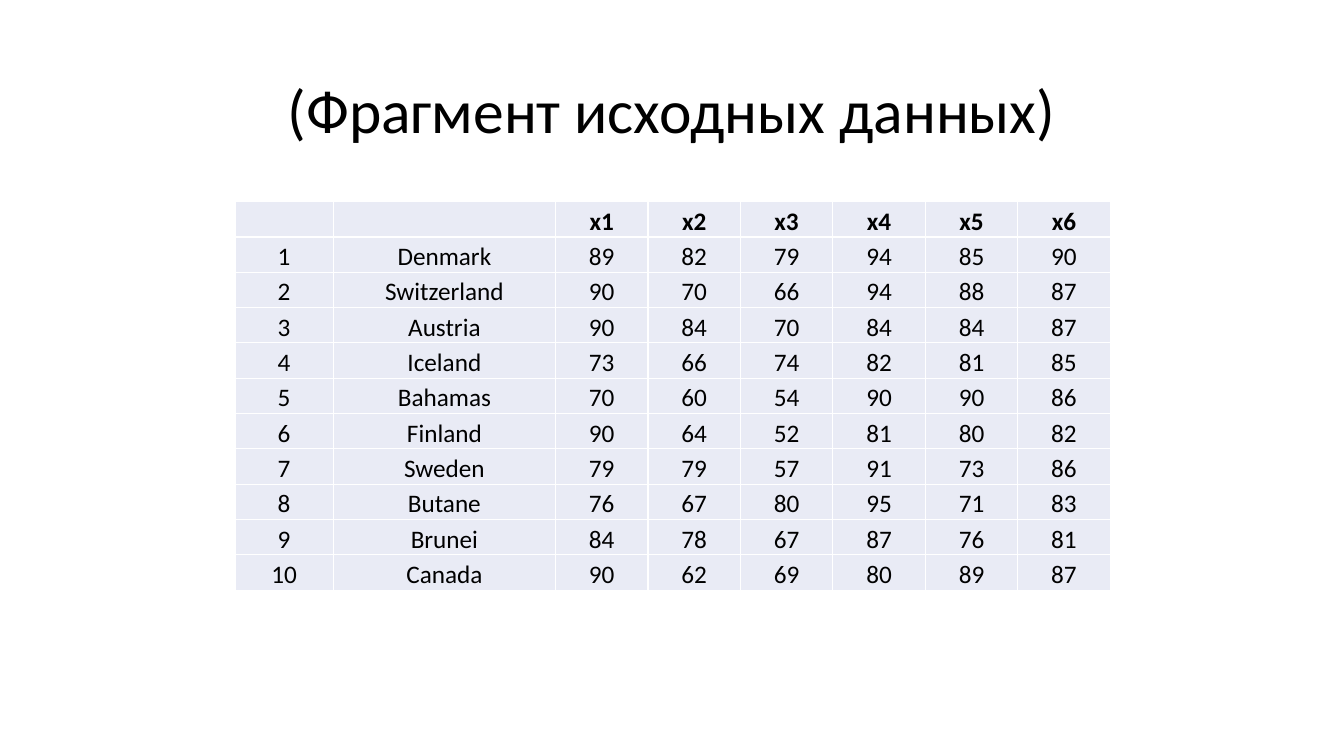
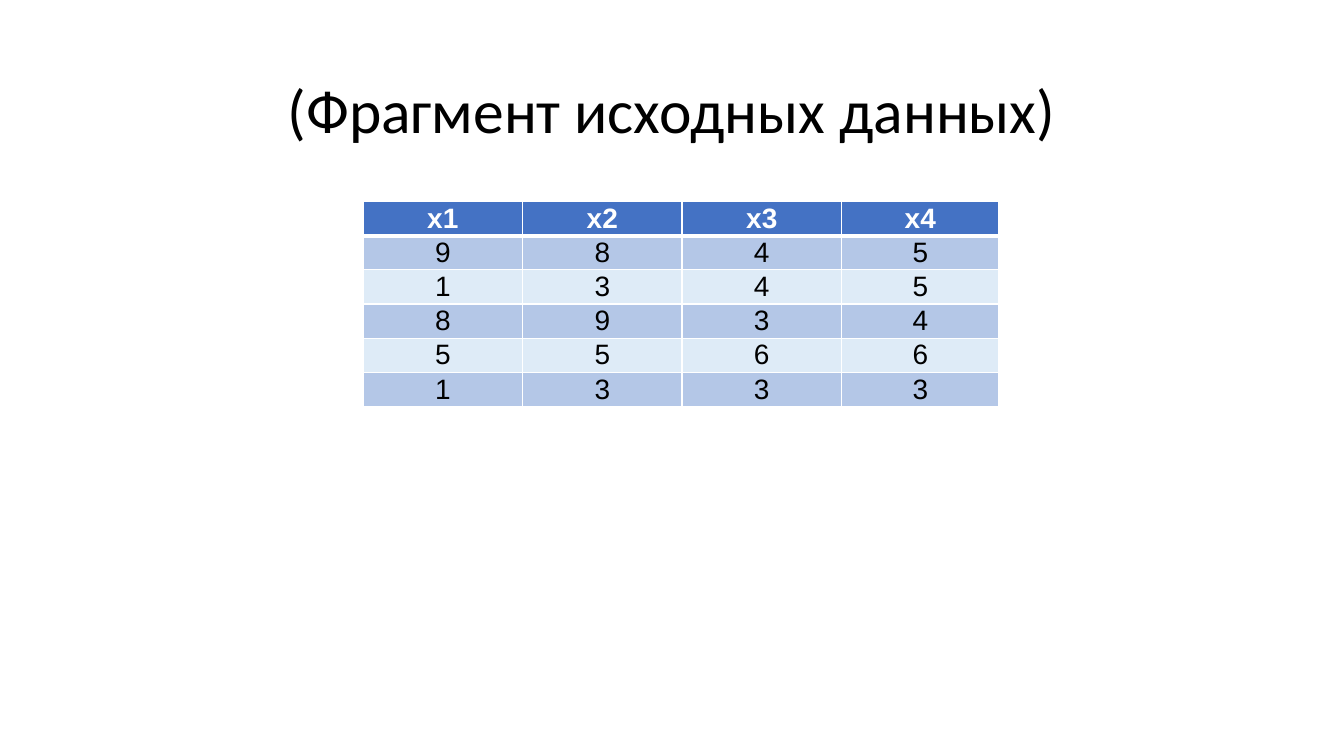
import dataclasses

import lxml.etree
import pptx
import pptx.dml.color
import pptx.enum.text
import pptx.oxml.ns
import pptx.util

Cm = pptx.util.Cm
Pt = pptx.util.Pt
RGBColor = pptx.dml.color.RGBColor
Anchor = pptx.enum.text.MSO_ANCHOR
CENTER = pptx.enum.text.PP_ALIGN.CENTER


@dataclasses.dataclass(frozen=True)
class Theme:
    text: str = "000000"
    white: str = "FFFFFF"
    pale: str = "E9EBF5"
    header: str = "4472C4"
    band: str = "B4C7E7"
    light_band: str = "DEEBF7"
    title_font: str = "Calibri"
    number_font: str = "Arial"
    title_size: int = 44
    country_size: int = 18
    sample_size: int = 20
    border: int = 1
    header_border: int = 3


theme = Theme()


def add_text(text_frame, text, font, size, color, bold=False):
    paragraph = text_frame.paragraphs[0]
    paragraph.alignment = CENTER
    run = paragraph.add_run()
    run.text = text
    run.font.name = font
    run.font.size = Pt(size)
    run.font.bold = bold
    run.font.color.rgb = RGBColor.from_string(color)
    return paragraph


def set_borders(cell, bottom_width):
    properties = cell._tc.get_or_add_tcPr()
    widths = {"lnL": theme.border, "lnR": theme.border, "lnT": theme.border, "lnB": bottom_width}
    for position, (side, width) in enumerate(widths.items()):
        line = lxml.etree.Element(pptx.oxml.ns.qn("a:" + side), w=str(Pt(width)))
        fill = lxml.etree.SubElement(line, pptx.oxml.ns.qn("a:solidFill"))
        lxml.etree.SubElement(fill, pptx.oxml.ns.qn("a:srgbClr"), val=theme.white)
        properties.insert(position, line)


countries = [
    ("Denmark", 89, 82, 79, 94, 85, 90),
    ("Switzerland", 90, 70, 66, 94, 88, 87),
    ("Austria", 90, 84, 70, 84, 84, 87),
    ("Iceland", 73, 66, 74, 82, 81, 85),
    ("Bahamas", 70, 60, 54, 90, 90, 86),
    ("Finland", 90, 64, 52, 81, 80, 82),
    ("Sweden", 79, 79, 57, 91, 73, 86),
    ("Butane", 76, 67, 80, 95, 71, 83),
    ("Brunei", 84, 78, 67, 87, 76, 81),
    ("Canada", 90, 62, 69, 80, 89, 87),
]
samples = [(9, 8, 4, 5), (1, 3, 4, 5), (8, 9, 3, 4), (5, 5, 6, 6), (1, 3, 3, 3)]

tables = [
    {
        "rows": [("", "", "x1", "x2", "x3", "x4", "x5", "x6")]
        + [(number, *country) for number, country in enumerate(countries, 1)],
        "left": 5.92,
        "columns": [2.48, 5.6] + [2.33] * 6,
        "row_height": 0.89,
        "font": theme.title_font,
        "size": theme.country_size,
        "anchor": Anchor.BOTTOM,
        "bottom_margin": 0,
        "header_fill": theme.pale,
        "header_text": theme.text,
        "header_border": theme.border,
        "bands": [theme.pale],
    },
    {
        "rows": [("x1", "x2", "x3", "x4")] + samples,
        "left": 9.15,
        "columns": [4.02] * 3 + [3.97],
        "row_height": 0.86,
        "font": theme.number_font,
        "size": theme.sample_size,
        "anchor": Anchor.MIDDLE,
        "bottom_margin": 0.02,
        "header_fill": theme.header,
        "header_text": theme.white,
        "header_border": theme.header_border,
        "bands": [theme.band, theme.light_band],
    },
]

presentation = pptx.Presentation()
presentation.slide_width = Cm(33.87)
presentation.slide_height = Cm(19.05)
title_layout = presentation.slide_layouts.get_by_name("Title Only")

for design in tables:
    slide = presentation.slides.add_slide(title_layout)
    title = slide.shapes.title
    title.left, title.top, title.width, title.height = Cm(2.33), Cm(1.01), Cm(29.21), Cm(3.68)
    title.text_frame.vertical_anchor = Anchor.MIDDLE
    paragraph = add_text(
        title.text_frame, "(Фрагмент исходных данных)", theme.title_font, theme.title_size, theme.text
    )
    paragraph.line_spacing = 0.9

    rows, columns = design["rows"], design["columns"]
    table = slide.shapes.add_table(
        len(rows), len(columns), Cm(design["left"]), Cm(5.08),
        Cm(sum(columns)), Cm(design["row_height"] * len(rows)),
    ).table
    table.horz_banding = False
    for column, width in zip(table.columns, columns):
        column.width = Cm(width)

    for row_index, values in enumerate(rows):
        table.rows[row_index].height = Cm(design["row_height"])
        is_header = row_index == 0
        fill_color = design["header_fill"] if is_header else design["bands"][(row_index - 1) % len(design["bands"])]
        text_color = design["header_text"] if is_header else theme.text
        for column_index, value in enumerate(values):
            cell = table.cell(row_index, column_index)
            cell.margin_left = cell.margin_right = cell.margin_top = Cm(0.02)
            cell.margin_bottom = Cm(design["bottom_margin"])
            cell.vertical_anchor = design["anchor"]
            cell.fill.solid()
            cell.fill.fore_color.rgb = RGBColor.from_string(fill_color)
            set_borders(cell, design["header_border"] if is_header else theme.border)
            if value != "":
                add_text(cell.text_frame, str(value), design["font"], design["size"], text_color, is_header)

presentation.save("out.pptx")
